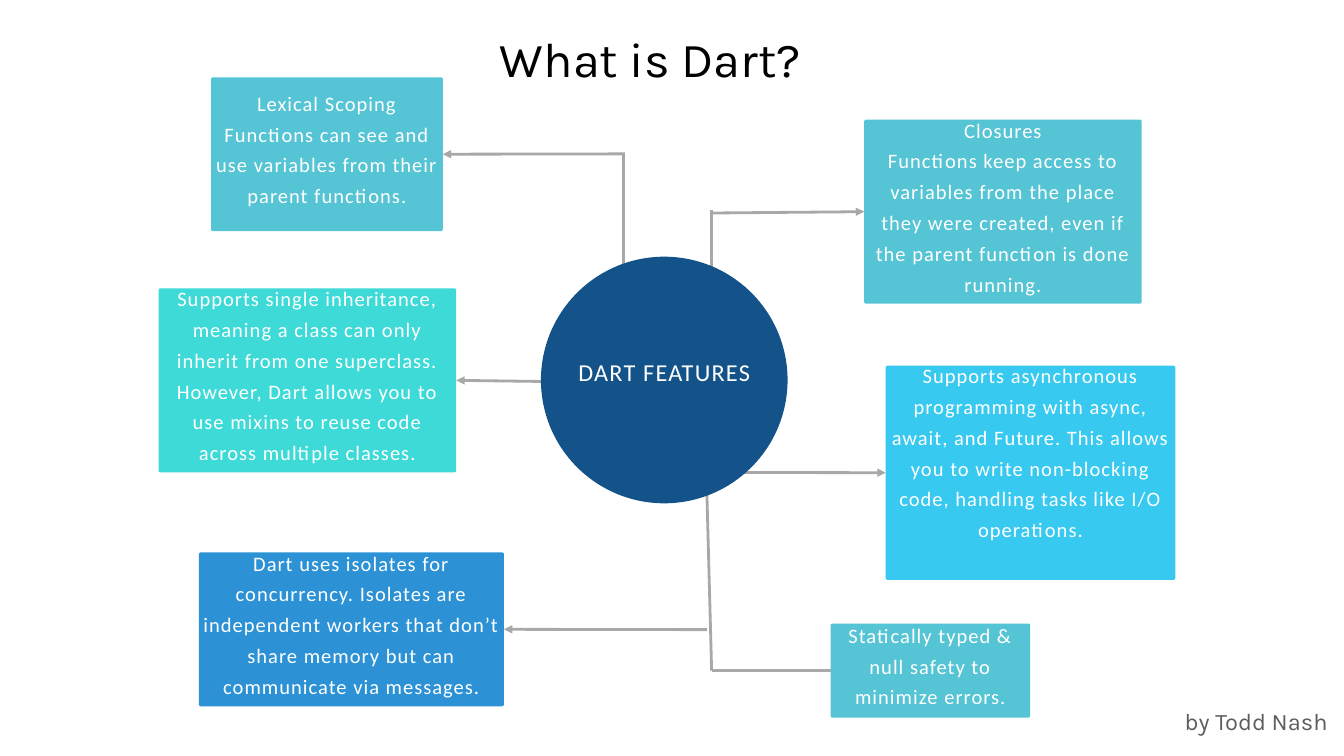
from lxml import etree
from pptx import Presentation
from pptx.dml.color import RGBColor
from pptx.enum.shapes import MSO_CONNECTOR, MSO_SHAPE
from pptx.enum.text import MSO_ANCHOR, PP_ALIGN
from pptx.oxml.ns import qn
from pptx.util import Inches, Pt

ROUNDED, OVAL = MSO_SHAPE.ROUNDED_RECTANGLE, MSO_SHAPE.OVAL
STRAIGHT = MSO_CONNECTOR.STRAIGHT
CENTER, LEFT = PP_ALIGN.CENTER, PP_ALIGN.LEFT
MIDDLE, TOP = MSO_ANCHOR.MIDDLE, MSO_ANCHOR.TOP
LEFT_SIDE, RIGHT_SIDE = 1, 3

COLORS = {
    "teal": "55C4D4", "sky": "37C9EF", "blue": "2C92D5", "mint": "3EDAD8",
    "navy": "13538A", "line": "A8A8A8", "white": "FFFFFF",
    "black": "000000", "gray": "5D5D5D",
}
CORNER = 0.03     # corner radius of a card
TEXT_RISE = 0.235  # how far a card's text area starts above the card
INSET = 0.06
CARD_LEADING = 33

# box, colour, text, empty lines kept below the text
CARDS = {
    "closures": ((12.86, 1.78, 4.13, 2.74), "teal",
                 ["Closures",
                  "Functions keep access to variables from the place they were "
                  "created, even if the parent function is done running."], 0),
    "async": ((13.18, 5.44, 4.31, 3.19), "sky",
              ["Supports asynchronous programming with async, await, and Future. "
               "This allows you to write non-blocking code, handling tasks like "
               "I/O operations."], 1),
    "isolates": ((2.96, 8.22, 4.54, 2.29), "blue",
                 ["Dart uses isolates for concurrency. Isolates are independent "
                  "workers that don’t share memory but can communicate via "
                  "messages."], 0),
    "scoping": ((3.14, 1.15, 3.45, 2.29), "teal",
                ["Lexical Scoping Functions can see and use variables from their "
                 "parent functions."], 0),
    "inheritance": ((2.36, 4.29, 4.43, 2.74), "mint",
                    ["Supports single inheritance, meaning a class can only "
                     "inherit from one superclass. However, Dart allows you to "
                     "use mixins to reuse code across multiple classes."], 0),
    "typing": ((12.36, 9.28, 2.97, 1.4), "teal",
               ["Statically typed & null safety to minimize errors."], 0),
}

# card, side joined, start point, arrowhead at the card
LINKS = [
    ("scoping", RIGHT_SIDE, (9.3, 2.29), True),
    ("closures", LEFT_SIDE, (10.59, 3.17), True),
    ("inheritance", RIGHT_SIDE, (8.3, 5.68), True),
    ("isolates", RIGHT_SIDE, (10.52, 9.37), True),
    ("async", LEFT_SIDE, (10.54, 7.03), True),
    ("typing", LEFT_SIDE, (10.59, 9.98), False),
]
# upright lines from the hub to the links
STEMS = [
    ((9.28, 4.96), (9.28, 2.29)),
    ((10.59, 4.89), (10.59, 3.13)),
    ((10.52, 7.36), (10.59, 9.98)),
]


def rgb(name):
    return RGBColor.from_string(COLORS[name])


def add_text(slide, box, paragraphs, *, size, leading, color="white",
             font="Calibri", align=CENTER, anchor=MIDDLE, inset=INSET,
             spacing=0, extra_bottom=0):
    frame = slide.shapes.add_textbox(*map(Inches, box)).text_frame
    frame.word_wrap = True
    frame.vertical_anchor = anchor
    frame.margin_left = frame.margin_right = frame.margin_top = Inches(inset)
    frame.margin_bottom = Inches(inset) + Pt(extra_bottom)
    for index, text in enumerate(paragraphs):
        paragraph = frame.add_paragraph() if index else frame.paragraphs[0]
        paragraph.alignment = align
        paragraph.line_spacing = Pt(leading)
        run = paragraph.add_run()
        run.text = text
        run.font.name = font
        run.font.size = Pt(size)
        run.font.color.rgb = rgb(color)
        if spacing:
            run.font._element.set("spc", str(round(spacing * 100)))


def add_filled(slide, kind, box, color):
    shape = slide.shapes.add_shape(kind, *map(Inches, box))
    shape.shadow.inherit = False
    shape.fill.solid()
    shape.fill.fore_color.rgb = rgb(color)
    shape.line.fill.background()
    return shape


def add_line(slide, start, end, arrow=False):
    line = slide.shapes.add_connector(STRAIGHT, *map(Inches, (*start, *end)))
    line.line.color.rgb = rgb("line")
    line.line.width = Pt(3)
    if arrow:
        etree.SubElement(line.line._get_or_add_ln(), qn("a:tailEnd"), type="triangle")
    etree.SubElement(line._element.spPr, qn("a:effectLst"))
    return line


def add_card(slide, box, color, paragraphs, empty_lines):
    left, top, width, height = box
    card = add_filled(slide, ROUNDED, box, color)
    card.adjustments[0] = CORNER / min(width, height)
    add_text(slide, (left, top - TEXT_RISE, width, height + TEXT_RISE), paragraphs,
             size=22, leading=CARD_LEADING, spacing=1.1,
             extra_bottom=empty_lines * CARD_LEADING)
    return card


def add_links(slide, cards):
    for name, side, start, arrow in LINKS:
        left, top, width, height = CARDS[name][0]
        end = (left + (width if side == RIGHT_SIDE else 0), top + height / 2)
        add_line(slide, start, end, arrow).end_connect(cards[name], side)
    for start, end in STEMS:
        add_line(slide, start, end)


def add_hub(slide, box):
    left, top, size, _ = box
    add_filled(slide, OVAL, box, "navy")
    margin = 0.34
    add_text(slide, (left + margin, top, size - 2 * margin, size - margin),
             ["DART FEATURES"], size=26, leading=39, spacing=1.3)


def add_headings(slide, title_box, author_box):
    plain = dict(font="Karla", align=LEFT, anchor=TOP, inset=0)
    add_text(slide, title_box, ["What is Dart?"], size=52.3, leading=73.2,
             color="black", **plain)
    add_text(slide, author_box, ["by Todd Nash"], size=25.3, leading=35.4,
             color="gray", **plain)


def main():
    deck = Presentation()
    deck.slide_width, deck.slide_height = Inches(20), Inches(11.25)
    slide = deck.slides.add_slide(deck.slide_layouts[6])

    # Cards first, then their lines, with the hub covering the line ends
    cards = {name: add_card(slide, *card) for name, card in CARDS.items()}
    add_links(slide, cards)
    add_hub(slide, (8.05, 3.82, 3.67, 3.67))
    add_headings(slide, (7.44, 0.28, 12.5, 0.97), (17.63, 10.45, 2.18, 0.47))

    deck.save("out.pptx")


if __name__ == "__main__":
    main()
